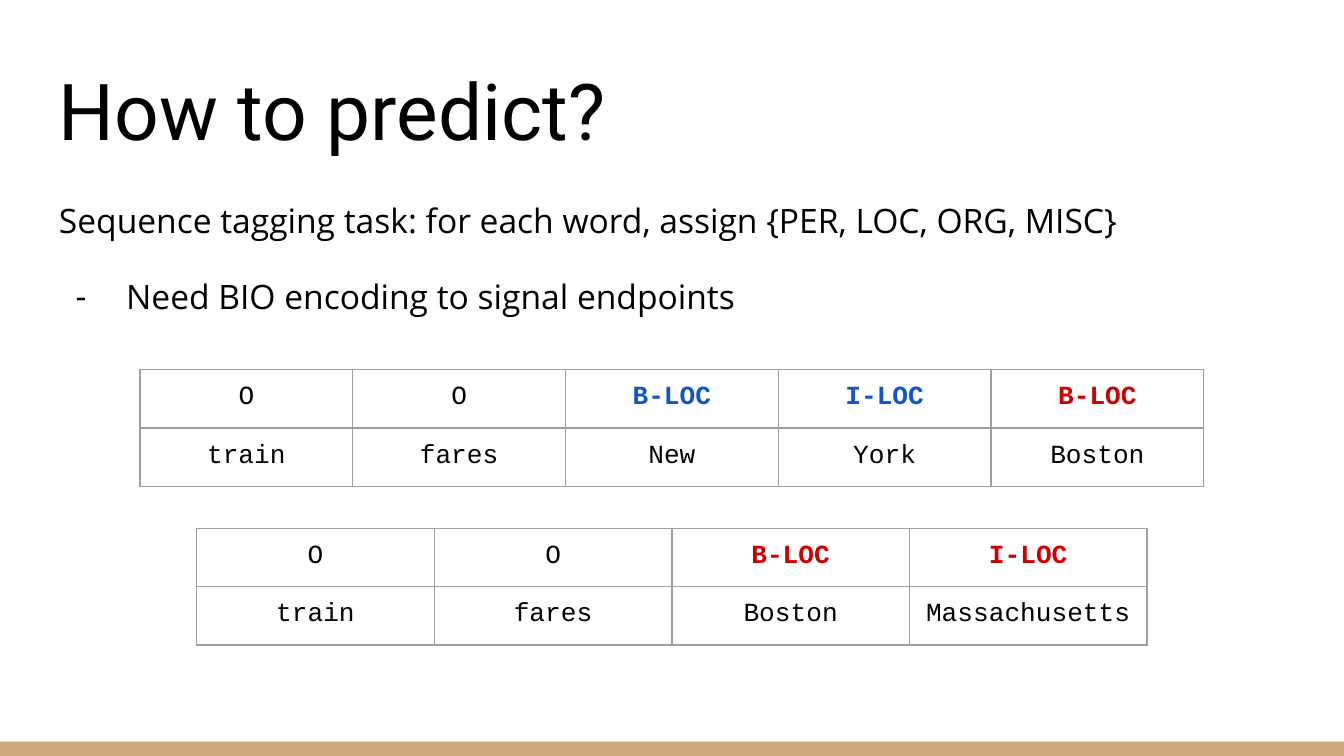
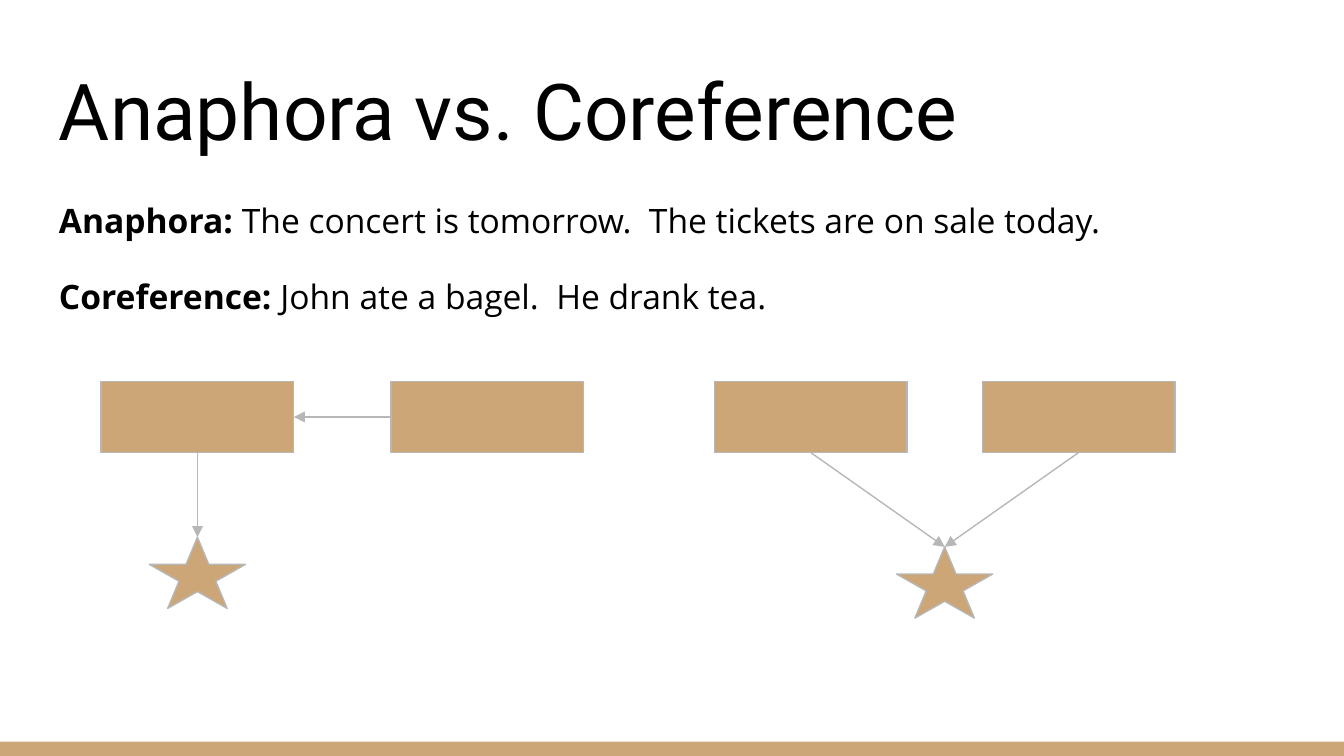
"""Build two slides on sequence tagging and on anaphora versus coreference."""
from lxml.etree import SubElement
from pptx import Presentation
from pptx.dml.color import RGBColor
from pptx.enum.shapes import MSO_CONNECTOR, MSO_SHAPE
from pptx.enum.text import MSO_ANCHOR, PP_ALIGN
from pptx.oxml.ns import qn
from pptx.util import Pt

COLORS = {"black": "000000", "tan": "CCA677", "gray": "B7B7B7",
          "border": "9E9E9E", "blue": "1155CC", "red": "CC0000"}
FONTS = {
    "title": {"name": "Roboto", "size": Pt(42)},
    "body": {"name": "Open Sans", "size": Pt(18)},
    "cell": {"name": "Courier New", "size": Pt(14)},
}
WIDTH, HEIGHT = 720, 405
MARGIN, INSET = 24.5, 7.2
BOX_SIZE, BOX_TOP = (103.2, 38.2), 204.3
STAR_SIZE = (51.6, 38.2)
TOP, LEFT, BOTTOM, RIGHT = range(4)


def apply(target, values):
    """Set each attribute of target named in values."""
    for name, value in values.items():
        setattr(target, name, value)


def points(*lengths):
    """Convert numbers to point lengths."""
    return [Pt(length) for length in lengths]


class SlideWriter:
    """Hold the deck style and the current slide."""

    def __init__(self):
        """Open an empty deck of the right size."""
        self.deck = Presentation()
        apply(self.deck, {"slide_width": Pt(WIDTH), "slide_height": Pt(HEIGHT)})
        self.page = None

    def color(self, name):
        """Return a named colour."""
        return RGBColor.from_string(COLORS[name])

    def start(self, title):
        """Add a page with its bottom band and title."""
        self.page = self.deck.slides.add_slide(self.deck.slide_layouts[6])
        self.shape(MSO_SHAPE.RECTANGLE, 0, 397.3, (WIDTH, 7.7), outline=None)
        frame = self.text_box(25.2, 65.5, MSO_ANCHOR.BOTTOM)
        self.span(frame.paragraphs[0], title, "title")

    def text_box(self, top, height, anchor=MSO_ANCHOR.TOP):
        """Add a text box between the margins and return its frame."""
        box = self.page.shapes.add_textbox(
            *points(MARGIN, top, WIDTH - 2 * MARGIN, height))
        apply(box.text_frame, {"word_wrap": True, "vertical_anchor": anchor})
        for side in ("left", "top", "right", "bottom"):
            setattr(box.text_frame, f"margin_{side}", Pt(INSET))
        return box.text_frame

    def span(self, para, text, style, color="black", bold=False):
        """Add one run of text in a named style."""
        span = para.add_run()
        span.text = text
        apply(span.font, {**FONTS[style], "bold": bold})
        span.font.color.rgb = self.color(color)

    def body(self, *lines):
        """Add body lines of (bullet, bold lead, plain text)."""
        frame = self.text_box(96.5, 264)
        for index, (bullet, lead, text) in enumerate(lines):
            para = frame.add_paragraph() if index else frame.paragraphs[0]
            apply(para, {"line_spacing": 1.15, "space_before": Pt(16 if index else 0)})
            if lead:
                self.span(para, lead, "body", bold=True)
            self.span(para, text, "body")
            if bullet:
                self.bullet(para, bullet)

    def bullet(self, para, mark):
        """Give a paragraph a hanging bullet mark."""
        props = para._p.get_or_add_pPr()
        props.set("marL", str(Pt(36)))
        props.set("indent", str(-Pt(27)))
        SubElement(SubElement(props, qn("a:buClr")), qn("a:srgbClr"), val=COLORS["black"])
        SubElement(props, qn("a:buFont"), typeface=FONTS["body"]["name"])
        SubElement(props, qn("a:buChar"), char=mark)

    def tag_table(self, top, column_width, tagged_words):
        """Add a centred table with tags above their words."""
        count, row_height = len(tagged_words), 30.4
        width = count * column_width
        table = self.page.shapes.add_table(2, count, *points(
            (WIDTH - width) / 2, top, width, 2 * row_height)).table
        apply(table, {"first_row": False, "horz_banding": False})
        for row in table.rows:
            row.height = Pt(row_height)
        for column, (tag, word, color) in enumerate(tagged_words):
            table.columns[column].width = Pt(column_width)
            self.cell(table.cell(0, column), tag, color, color != "black")
            self.cell(table.cell(1, column), word, "black", False)

    def cell(self, cell, text, color, bold):
        """Fill one bordered table cell."""
        for side in ("left", "top", "right", "bottom"):
            setattr(cell, f"margin_{side}", Pt(INSET))
        props = cell._tc.get_or_add_tcPr()
        for edge in "LRTB":
            line = SubElement(props, qn(f"a:ln{edge}"), w=str(Pt(0.75)))
            fill = SubElement(line, qn("a:solidFill"))
            SubElement(fill, qn("a:srgbClr"), val=COLORS["border"])
        cell.fill.background()
        para = cell.text_frame.paragraphs[0]
        para.alignment = PP_ALIGN.CENTER
        self.span(para, text, "cell", color, bold)

    def shape(self, kind, left, top, size, outline="gray"):
        """Add a tan preset shape."""
        shape = self.page.shapes.add_shape(kind, *points(left, top, *size))
        shape.shadow.inherit = False
        shape.fill.solid()
        shape.fill.fore_color.rgb = self.color("tan")
        if outline:
            shape.line.color.rgb = self.color(outline)
            shape.line.width = Pt(0.75)
        else:
            shape.line.fill.background()
        return shape

    def mention(self, left):
        """Add a rectangle in the row of mentions."""
        return self.shape(MSO_SHAPE.RECTANGLE, left, BOX_TOP, BOX_SIZE)

    def entity(self, center, top):
        """Add a star centred on a horizontal position."""
        return self.shape(MSO_SHAPE.STAR_5_POINT, center - STAR_SIZE[0] / 2, top, STAR_SIZE)

    def arrow(self, source, source_side, target, target_side):
        """Join two shapes with an arrow."""
        arrow = self.page.shapes.add_connector(MSO_CONNECTOR.STRAIGHT, 0, 0, 0, 0)
        arrow.begin_connect(source, source_side)
        arrow.end_connect(target, target_side)
        arrow.line.color.rgb = self.color("gray")
        arrow.line.width = Pt(0.75)
        SubElement(arrow.line._get_or_add_ln(), qn("a:tailEnd"), type="triangle")
        SubElement(arrow._element.spPr, qn("a:effectLst"))


def build_prediction(writer):
    """Build the slide on BIO tags."""
    writer.start("How to predict?")
    writer.body(
        (None, None, "Sequence tagging task: for each word, assign {PER, LOC, ORG, MISC}"),
        ("-", None, "Need BIO encoding to signal endpoints"))
    plain = [("O", "train", "black"), ("O", "fares", "black")]
    writer.tag_table(198, 114, plain + [
        ("B-LOC", "New", "blue"), ("I-LOC", "York", "blue"), ("B-LOC", "Boston", "red")])
    writer.tag_table(283.1, 127.3, plain + [
        ("B-LOC", "Boston", "red"), ("I-LOC", "Massachusetts", "red")])


def build_comparison(writer):
    """Build the slide on reference types."""
    writer.start("Anaphora vs. Coreference")
    writer.body(
        (None, "Anaphora: ", "The concert is tomorrow.  The tickets are on sale today."),
        (None, "Coreference:", " John ate a bagel.  He drank tea."))
    lefts = (54.2, 209.5, 382.8, 526.2)
    antecedent, anaphor, first, second = [writer.mention(left) for left in lefts]
    half = BOX_SIZE[0] / 2
    referent = writer.entity(lefts[0] + half, 287.8)
    shared = writer.entity((lefts[2] + lefts[3]) / 2 + half, 293)
    writer.arrow(antecedent, BOTTOM, referent, TOP)
    writer.arrow(anaphor, LEFT, antecedent, RIGHT)
    for mention in (second, first):
        writer.arrow(mention, BOTTOM, shared, TOP)


def main():
    """Build and save the deck."""
    writer = SlideWriter()
    build_prediction(writer)
    build_comparison(writer)
    writer.deck.save("out.pptx")


if __name__ == "__main__":
    main()
